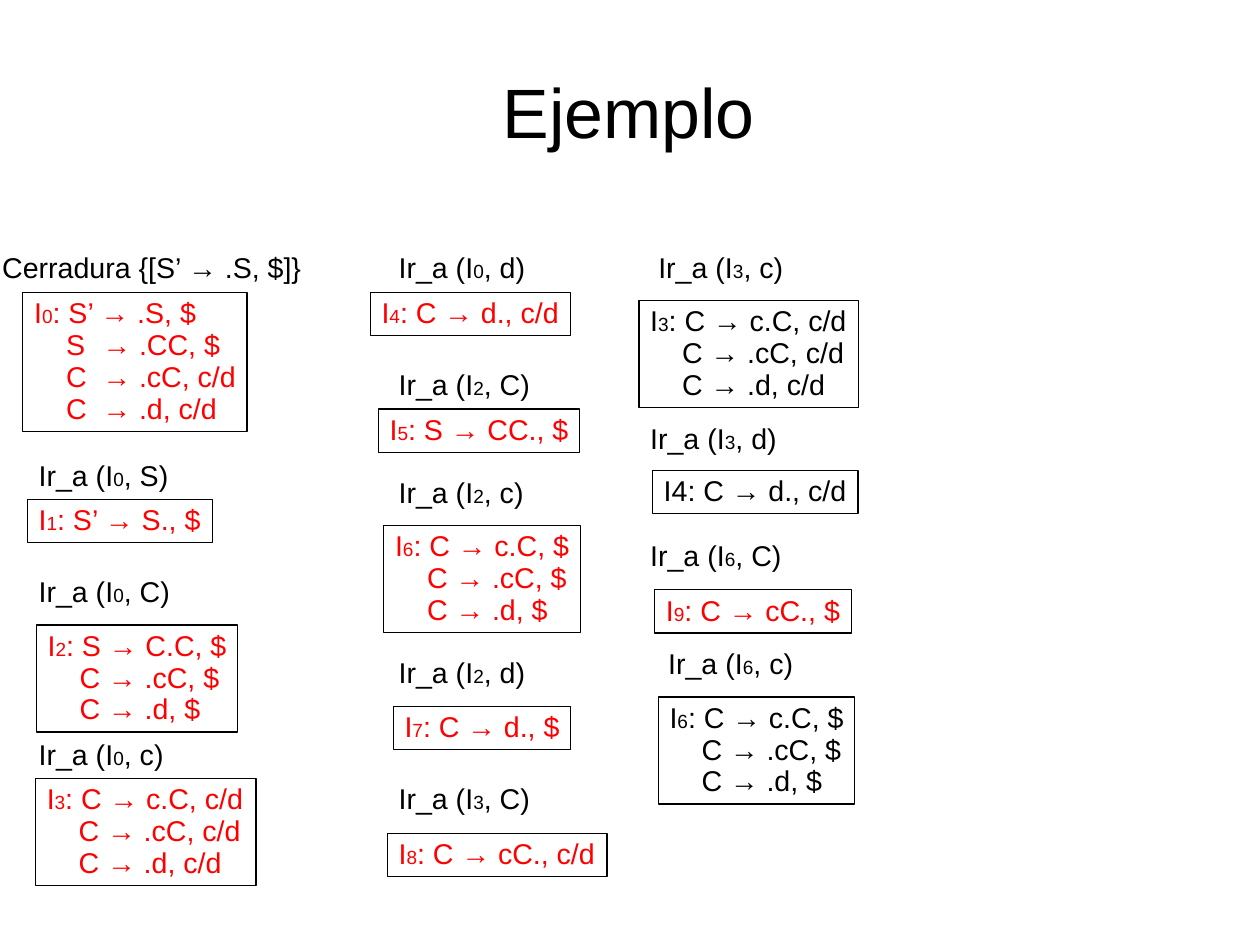
from dataclasses import dataclass

from lxml.etree import SubElement
from pptx import Presentation
from pptx.dml.color import RGBColor
from pptx.enum.shapes import MSO_SHAPE
from pptx.enum.text import MSO_ANCHOR, MSO_AUTO_SIZE, PP_ALIGN
from pptx.oxml.ns import qn
from pptx.util import Cm, Pt


@dataclass(frozen=True)
class Theme:
    font: str = "Arial"
    ink: RGBColor = RGBColor(0x00, 0x00, 0x00)
    new_state: RGBColor = RGBColor(0xFF, 0x00, 0x00)
    title_size: int = 44
    body_size: int = 18
    index_size: int = 12
    border: float = 0.75
    line_spacing: float = 0.93
    line_height: float = 0.71
    padding: float = 0.25
    goto_width: float = 3.45
    tab_stops: tuple = (0.71, 1.52)


THEME = Theme()


def write(shape, text, *, size=THEME.body_size, color=THEME.ink,
          align=PP_ALIGN.LEFT, anchor=MSO_ANCHOR.TOP, left_inset=THEME.padding):
    """Fill a shape with text; parts between bars are small indices."""
    frame = shape.text_frame
    frame.word_wrap = True
    frame.auto_size = MSO_AUTO_SIZE.NONE
    frame.vertical_anchor = anchor
    frame.margin_left = Cm(left_inset)
    frame.margin_right = 0  # leaves slack so that no line breaks
    frame.margin_top = frame.margin_bottom = Cm(left_inset / 2)
    for number, line in enumerate(text.split("\n")):
        paragraph = frame.add_paragraph() if number else frame.paragraphs[0]
        paragraph.alignment = align
        paragraph.line_spacing = THEME.line_spacing
        if "\t" in line:
            stops = SubElement(paragraph._p.get_or_add_pPr(), qn("a:tabLst"))
            for stop in THEME.tab_stops:
                SubElement(stops, qn("a:tab"), pos=str(Cm(stop)), algn="l")
        for position, part in enumerate(line.split("|")):
            run = paragraph.add_run()
            run.text = part
            run.font.name = THEME.font
            run.font.size = Pt(THEME.index_size if position % 2 else size)
            run.font.color.rgb = color


def add_title(slide, text, left, top, width, height):
    title = slide.shapes.add_textbox(Cm(left), Cm(top), Cm(width), Cm(height))
    write(title, text, size=THEME.title_size, align=PP_ALIGN.CENTER,
          anchor=MSO_ANCHOR.MIDDLE, left_inset=0)


def add_goto(slide, text, left, top, width=THEME.goto_width):
    goto = slide.shapes.add_textbox(Cm(left), Cm(top), Cm(width),
                                    Cm(THEME.padding + THEME.line_height))
    write(goto, text)


def add_state(slide, items, left, top, width, color):
    height = THEME.padding + THEME.line_height * len(items)
    state = slide.shapes.add_shape(MSO_SHAPE.RECTANGLE, Cm(left), Cm(top),
                                   Cm(width), Cm(height))
    state.shadow.inherit = False
    state.fill.background()
    state.line.color.rgb = THEME.ink
    state.line.width = Pt(THEME.border)
    write(state, "\n\t".join(items), color=color)


def add_column(slide, left, top, steps):
    """Each step: goto text, x, y, width; state items, x, y, width, colour."""
    for (goto, goto_x, goto_y, goto_width,
         items, state_x, state_y, state_width, color) in steps:
        add_goto(slide, goto, left + goto_x, top + goto_y, goto_width)
        add_state(slide, items, left + state_x, top + state_y, state_width, color)


NEW, SEEN = THEME.new_state, THEME.ink
GOTO = THEME.goto_width
C_WITH_CD = ["C → .cC, c/d", "C → .d, c/d"]
C_WITH_END = ["C → .cC, $", "C → .d, $"]
STATE_3 = ["I|3|: C → c.C, c/d", *C_WITH_CD]
STATE_6 = ["I|6|: C → c.C, $", *C_WITH_END]

# Offsets are measured from the left and top of each column
FROM_START = [
    ("Cerradura {[S’ → .S, $]}", -0.81, 0, 7.16,
     ["I|0|: S’ → .S, $", "S\t→ .CC, $", "C\t→ .cC, c/d", "C\t→ .d, c/d"],
     -0.1, 1.01, 4.98, NEW),
    ("Ir_a (I|0|, S)", 0, 4.62, GOTO, ["I|1|: S’ → S., $"], 0, 5.61, 4.11, NEW),
    ("Ir_a (I|0|, C)", 0, 7.21, GOTO,
     ["I|2|: S → C.C, $", *C_WITH_END], 0.2, 8.4, 4.47, NEW),
    ("Ir_a (I|0|, c)", 0, 10.82, GOTO, STATE_3, 0.18, 11.81, 4.9, NEW),
]
FROM_STATE_2 = [
    ("Ir_a (I|0|, d)", 0, 0, GOTO, ["I|4|: C → d., c/d"], -0.38, 1.01, 4.45, NEW),
    ("Ir_a (I|2|, C)", 0, 2.61, GOTO, ["I|5|: S → CC., $"], -0.2, 3.6, 4.47, NEW),
    ("Ir_a (I|2|, c)", 0, 5, GOTO, STATE_6, -0.08, 6.19, 4.37, NEW),
    ("Ir_a (I|2|, d)", 0, 9.01, GOTO, ["I|7|: C → d., $"], 0.13, 10.21, 3.94, NEW),
    ("Ir_a (I|3|, C)", 0, 11.81, GOTO, ["I|8|: C → cC., c/d"], 0, 13.03, 4.88, NEW),
]
FROM_STATES_3_AND_6 = [
    ("Ir_a (I|3|, c)", 0.18, 0, GOTO, STATE_3, 0, 1.19, 4.88, SEEN),
    ("Ir_a (I|3|, d)", 0, 3.81, GOTO, ["I4: C → d., c/d"], 0.3, 4.97, 4.57, SEEN),
    ("Ir_a (I|6|, C)", 0, 6.4, GOTO, ["I|9|: C → cC., $"], 0.35, 7.62, 4.37, NEW),
    ("Ir_a (I|6|, c)", 0.4, 8.81, GOTO, STATE_6, 0.43, 10, 4.37, SEEN),
]


def main():
    presentation = Presentation()
    presentation.slide_width, presentation.slide_height = Cm(28), Cm(21)
    slide = presentation.slides.add_slide(presentation.slide_layouts[6])

    add_title(slide, "Ejemplo", 1.4, 0.84, 25.15, 3.45)

    # Three columns of LR(1) item sets
    columns = ((0.61, FROM_START), (8.61, FROM_STATE_2), (14.2, FROM_STATES_3_AND_6))
    for left, steps in columns:
        add_column(slide, left, 5.49, steps)

    presentation.save("out.pptx")


if __name__ == "__main__":
    main()
